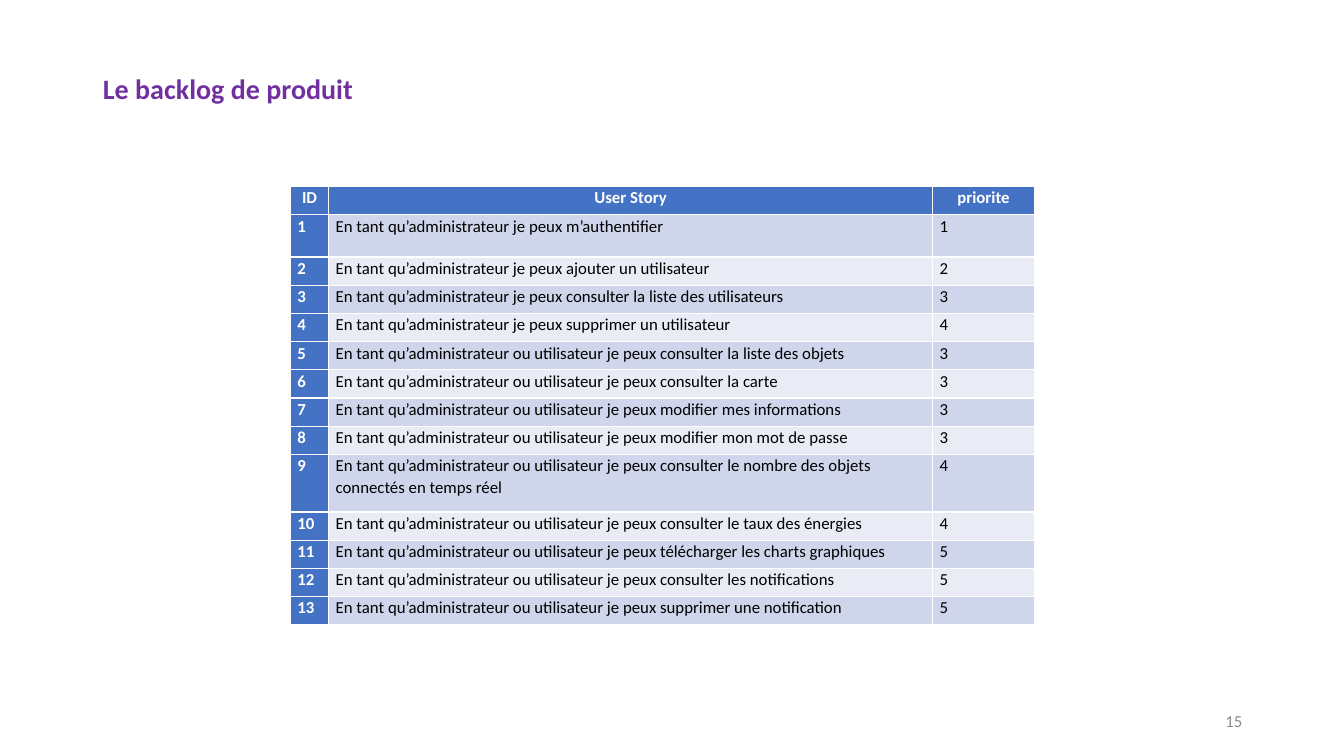
from pptx import Presentation
from pptx.dml.color import RGBColor
from pptx.enum.text import MSO_ANCHOR, PP_ALIGN
from pptx.util import Inches, Pt

LEFT, CENTER, RIGHT = PP_ALIGN.LEFT, PP_ALIGN.CENTER, PP_ALIGN.RIGHT
MIDDLE = MSO_ANCHOR.MIDDLE

THEME = {
    "font": "Calibri",
    "title_size": 20, "body_size": 12,
    "title": "7030A0", "header": "4472C4", "bands": ("CFD5EA", "E9EBF5"),
    "light": "FFFFFF", "dark": "000000", "number": "8C8C8C",
}

HEADINGS = ("ID", "User Story", "priorite")
ADMIN = "En tant qu’administrateur je peux "
ANYONE = "En tant qu’administrateur ou utilisateur je peux "
STORIES = [
    (ADMIN + "m’authentifier", 1),
    (ADMIN + "ajouter un utilisateur", 2),
    (ADMIN + "consulter la liste des utilisateurs", 3),
    (ADMIN + "supprimer un utilisateur", 4),
    (ANYONE + "consulter la liste des objets", 3),
    (ANYONE + "consulter la carte", 3),
    (ANYONE + "modifier mes informations", 3),
    (ANYONE + "modifier mon mot de passe", 3),
    (ANYONE + "consulter le nombre des objets connectés en temps réel", 4),
    (ANYONE + "consulter le taux des énergies", 4),
    (ANYONE + "télécharger les charts graphiques", 5),
    (ANYONE + "consulter les notifications", 5),
    (ANYONE + "supprimer une notification", 5),
]
COLUMN_WIDTHS = (0.38, 5.99, 1.01)
ROW_HEIGHT = 0.28
TALL_ROWS = {1: 0.42, 9: 0.57}


def write(frame, text, color, size, bold=False, **paragraph_format):
    para = frame.paragraphs[0]
    for name, value in paragraph_format.items():
        setattr(para, name, value)
    span = para.add_run()
    span.text = text
    font_format = {"name": THEME["font"], "size": Pt(size), "bold": bold}
    for name, value in font_format.items():
        setattr(span.font, name, value)
    span.font.color.rgb = RGBColor.from_string(color)


def place(box, left, top, width, height):
    """Move and size a box, in inches, and centre its text vertically."""
    box.left, box.top = Inches(left), Inches(top)
    box.width, box.height = Inches(width), Inches(height)
    box.text_frame.word_wrap = True
    box.text_frame.vertical_anchor = MIDDLE


deck = Presentation()
deck.slide_width, deck.slide_height = Inches(13.33), Inches(7.5)
page = deck.slides.add_slide(deck.slide_layouts[5])

# Title
title = page.shapes.title
place(title, 0.92, 0.4, 11.5, 1)
write(title.text_frame, "Le backlog de produit", THEME["title"],
      THEME["title_size"], bold=True, alignment=LEFT, line_spacing=0.9)

# Backlog table
rows = [HEADINGS] + [(str(number), story, str(priority))
                     for number, (story, priority) in enumerate(STORIES, 1)]
heights = [TALL_ROWS.get(index, ROW_HEIGHT) for index in range(len(rows))]
backlog = page.shapes.add_table(
    len(rows), len(HEADINGS), Inches(2.88), Inches(1.85),
    Inches(sum(COLUMN_WIDTHS)), Inches(sum(heights))).table
backlog.first_col = True
for column, width in zip(backlog.columns, COLUMN_WIDTHS):
    column.width = Inches(width)

cell_format = {"margin_left": Inches(0.07), "margin_right": Inches(0.07),
               "margin_top": 0, "margin_bottom": 0}
for row_index, texts in enumerate(rows):
    backlog.rows[row_index].height = Inches(heights[row_index])
    for column_index, text in enumerate(texts):
        cell = backlog.cell(row_index, column_index)
        for name, value in cell_format.items():
            setattr(cell, name, value)
        heading = row_index == 0 or column_index == 0
        fill = THEME["header"] if heading else THEME["bands"][(row_index - 1) % 2]
        cell.fill.solid()
        cell.fill.fore_color.rgb = RGBColor.from_string(fill)
        write(cell.text_frame, text, THEME["light" if heading else "dark"],
              THEME["body_size"], bold=heading,
              alignment=CENTER if row_index == 0 else LEFT,
              line_spacing=1.07, space_after=Pt(7.9))

# Page number
page_number = page.shapes.add_textbox(0, 0, 0, 0)
place(page_number, 9.42, 6.95, 3, 0.4)
write(page_number.text_frame, "15", THEME["number"], THEME["body_size"],
      alignment=RIGHT)

deck.save("out.pptx")
